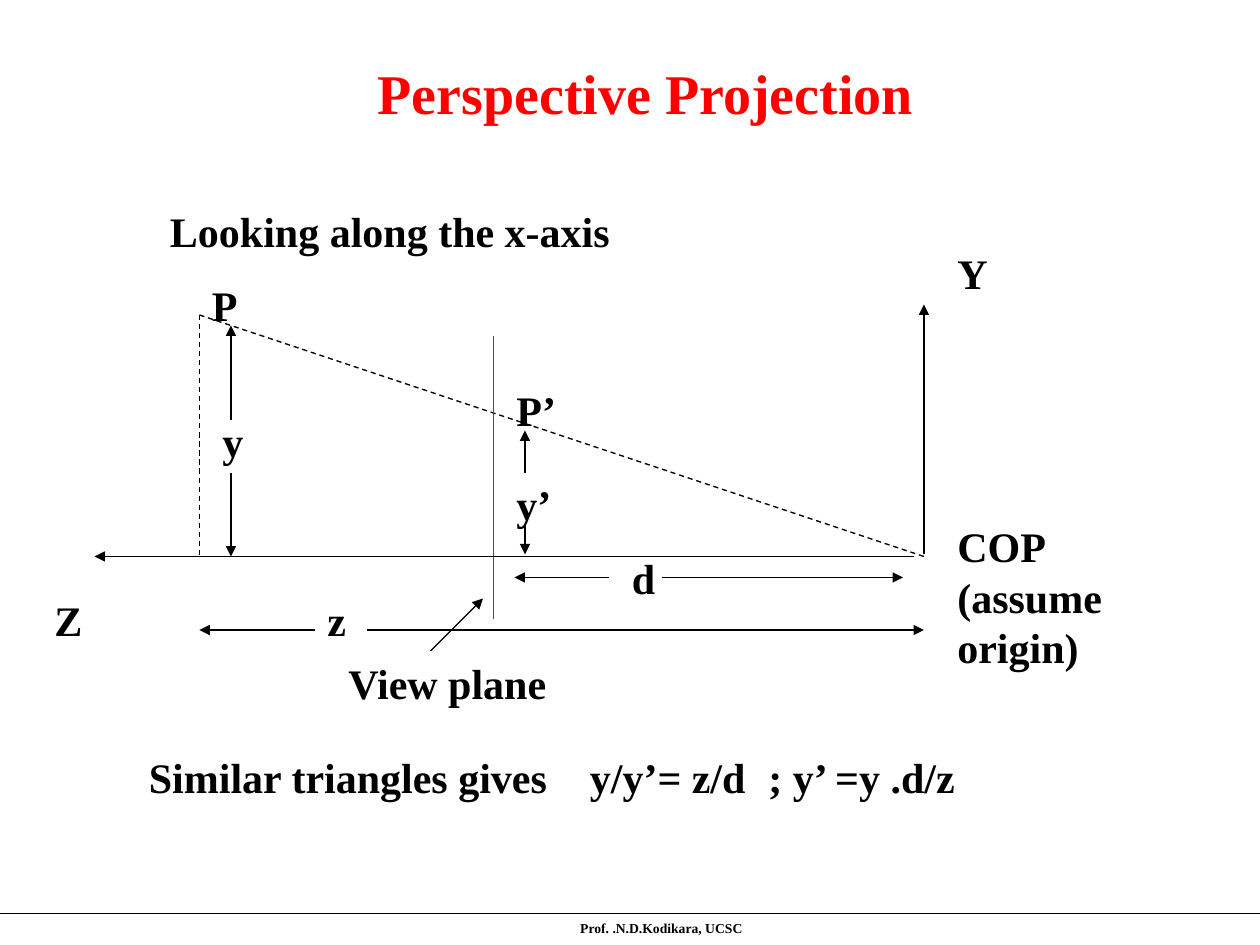
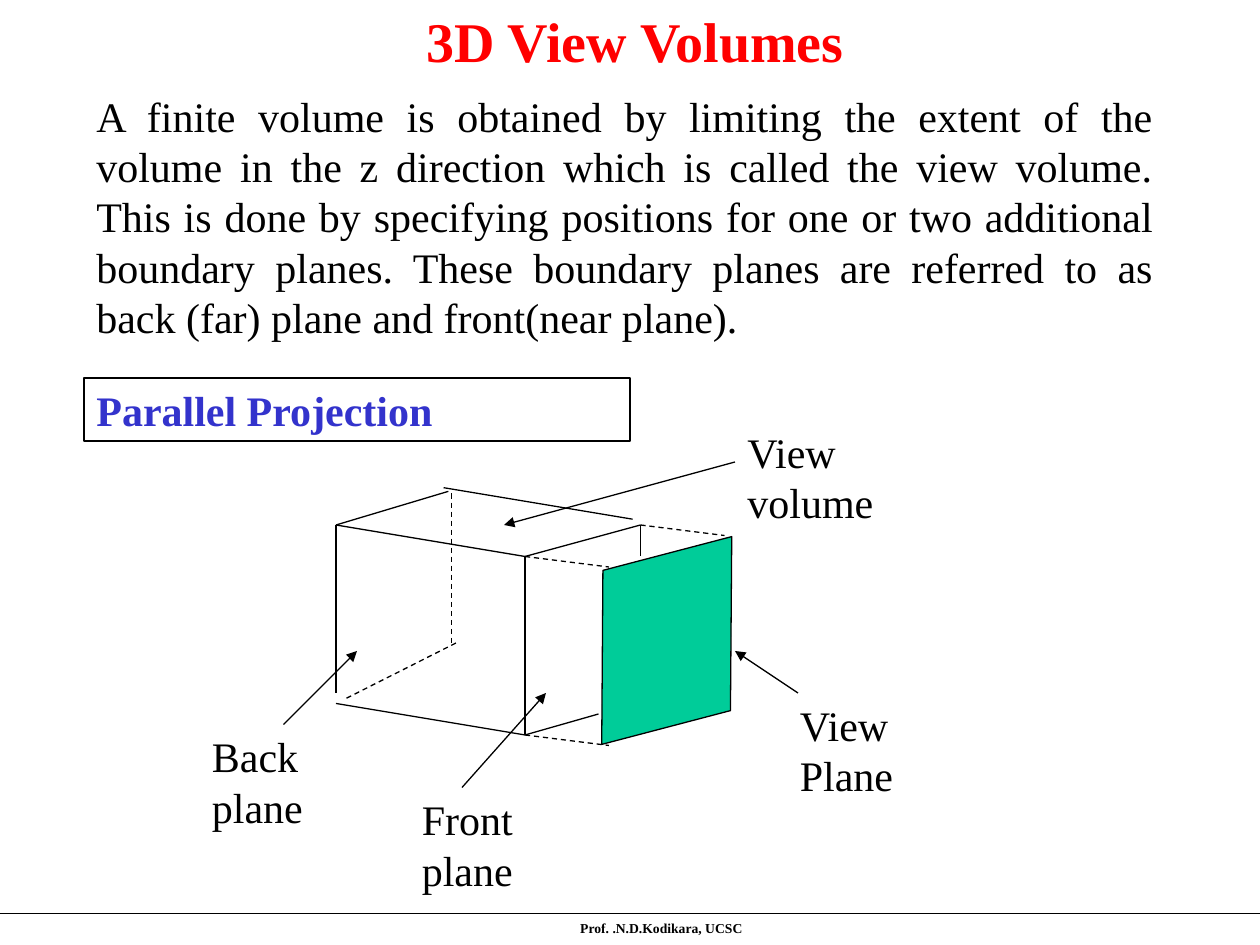
"""Builds two slides on perspective projection and 3D view volumes."""
from dataclasses import dataclass
from typing import NamedTuple, Optional

from lxml import etree
from pptx import Presentation
from pptx.dml.color import RGBColor
from pptx.enum.dml import MSO_LINE
from pptx.enum.shapes import MSO_CONNECTOR, MSO_SHAPE
from pptx.enum.text import MSO_ANCHOR, MSO_AUTO_SIZE, PP_ALIGN
from pptx.oxml.ns import qn
from pptx.util import Cm, Pt

STRAIGHT = MSO_CONNECTOR.STRAIGHT
RECTANGLE = MSO_SHAPE.RECTANGLE
PARALLELOGRAM = MSO_SHAPE.PARALLELOGRAM
DASH = MSO_LINE.DASH
TOP = MSO_ANCHOR.TOP
NO_AUTOFIT = MSO_AUTO_SIZE.NONE
LEFT, CENTER, JUSTIFY = PP_ALIGN.LEFT, PP_ALIGN.CENTER, PP_ALIGN.JUSTIFY
TITLE_ONLY = 5
GRID_CM = 2.54 / 12
SLIDE_COLUMNS, SLIDE_ROWS = 120, 90
FOOTER_ROW = 87


@dataclass(frozen=True)
class Theme:
    """Colours, font and sizes shared by the slides."""
    font: str = "Times New Roman"
    ink: RGBColor = RGBColor(0x00, 0x00, 0x00)
    red: RGBColor = RGBColor(0xFF, 0x00, 0x00)
    blue: RGBColor = RGBColor(0x33, 0x33, 0xCC)
    green: RGBColor = RGBColor(0x00, 0xCC, 0x99)
    title_size: Pt = Pt(32)
    body_size: Pt = Pt(24)
    footer_size: Pt = Pt(7.8)
    line_width: Pt = Pt(0.75)


THEME = Theme()


class Box(NamedTuple):
    """A rectangle in grid units."""
    left: float
    top: float
    width: float
    height: float


class Label(NamedTuple):
    """A text and its box."""
    text: str
    box: Box


class Segment(NamedTuple):
    """A straight line in grid units."""
    start: tuple[float, float]
    end: tuple[float, float]
    dashed: bool = False
    arrow: bool = False
    color: RGBColor = THEME.ink


class TextStyle(NamedTuple):
    """The look of a one-paragraph text."""
    size: Pt = THEME.body_size
    color: RGBColor = THEME.ink
    bold: bool = False
    alignment: PP_ALIGN = LEFT
    tabs: tuple[float, ...] = ()


TITLE = TextStyle(THEME.title_size, THEME.red, True, CENTER)
FOOTER = TextStyle(THEME.footer_size, bold=True, alignment=CENTER)
PLAIN = TextStyle()
BOLD = TextStyle(bold=True)
HEADING = TextStyle(color=THEME.blue, bold=True)
JUSTIFIED = TextStyle(alignment=JUSTIFY)
FORMULA = TextStyle(bold=True, tabs=(42, 59))


def grid(units: float) -> Cm:
    """Converts grid units to a length."""
    return Cm(units * GRID_CM)


def place(shape, box: Box) -> None:
    """Moves and sizes a shape."""
    shape.left, shape.top = grid(box.left), grid(box.top)
    shape.width, shape.height = grid(box.width), grid(box.height)


def write(shape, text: str, style: TextStyle) -> None:
    """Writes one styled paragraph into a shape."""
    frame = shape.text_frame
    frame.word_wrap = True
    frame.auto_size = NO_AUTOFIT
    frame.vertical_anchor = TOP
    paragraph = frame.paragraphs[0]
    paragraph.alignment = style.alignment
    if style.tabs:
        properties = paragraph._p.get_or_add_pPr()
        tab_list = etree.SubElement(properties, qn("a:tabLst"))
        for position in style.tabs:
            etree.SubElement(tab_list, qn("a:tab"), pos=str(grid(position)), algn="l")
    run = paragraph.add_run()
    run.text = text
    font = run.font
    font.name, font.size, font.bold = THEME.font, style.size, style.bold
    font.color.rgb = style.color


def add_label(slide, label: Label, style: TextStyle = PLAIN) -> None:
    """Adds a text box."""
    write(slide.shapes.add_textbox(*map(grid, label.box)), label.text, style)


def add_segment(slide, segment: Segment) -> None:
    """Adds a line, dashed or with an arrowhead if asked."""
    connector = slide.shapes.add_connector(
        STRAIGHT, *map(grid, segment.start + segment.end))
    line = connector.line
    line.color.rgb, line.width = segment.color, THEME.line_width
    if segment.dashed:
        line.dash_style = DASH
    if segment.arrow:
        etree.SubElement(line._get_or_add_ln(), qn("a:tailEnd"), type="triangle")
    etree.SubElement(connector._element.spPr, qn("a:effectLst"))


def add_outlined(slide, kind: MSO_SHAPE, box: Box, fill: Optional[RGBColor] = None):
    """Adds an outlined preset shape."""
    shape = slide.shapes.add_shape(kind, *map(grid, box))
    shape.shadow.inherit = False
    shape.line.color.rgb, shape.line.width = THEME.ink, THEME.line_width
    if fill is None:
        shape.fill.background()
    else:
        shape.fill.solid()
        shape.fill.fore_color.rgb = fill
    return shape


def add_slide(presentation, title: Label):
    """Adds a slide with its title, footer line and footer text."""
    slide = presentation.slides.add_slide(presentation.slide_layouts[TITLE_ONLY])
    place(slide.shapes.title, title.box)
    write(slide.shapes.title, title.text, TITLE)
    add_segment(slide, Segment((0, FOOTER_ROW), (SLIDE_COLUMNS, FOOTER_ROW)))
    add_label(slide, Label("Prof. .N.D.Kodikara, UCSC", Box(9, FOOTER_ROW, 108, 3)), FOOTER)
    return slide


def build_perspective(presentation) -> None:
    """Draws the similar triangles of the perspective projection."""
    slide = add_slide(presentation, Label("Perspective Projection", Box(10, 5, 103, 7.7)))
    point, foot, origin = (19, 30), (19, 53), (88, 53)
    segments = (
        Segment(point, origin, dashed=True),
        Segment(point, foot, dashed=True),
        Segment((47, 32), (47, 59), color=THEME.red),
        Segment((88, 52.8), (88, 29), arrow=True),
        Segment((87, 53), (9, 53), arrow=True),
        Segment((58, 55), (49, 55), arrow=True),
        Segment((63, 55), (86, 55), arrow=True),
        Segment((41, 62), (46, 57), arrow=True),
        Segment((50, 45), (50, 41), arrow=True),
        Segment((50, 50), (50, 52.8), arrow=True),
        Segment((22, 40), (22, 31), arrow=True),
        Segment((22, 45), (22, 53), arrow=True),
        Segment((35, 60), (88, 60), arrow=True),
        Segment((30, 60), (19, 60), arrow=True),
    )
    for segment in segments:
        add_segment(slide, segment)
    symbols = {"Y": (90, 23), "Z": (4, 56), "d": (59, 52), "P": (19, 26),
               "P’": (48, 36), "y’": (48, 45), "y": (20, 39), "z": (30, 56)}
    for symbol, (left, top) in symbols.items():
        add_label(slide, Label(symbol, Box(left, top, 9, 6)), BOLD)
    for label in (
        Label("Looking along the x-axis", Box(15, 19, 80, 6)),
        Label("View plane", Box(32, 62, 25, 6)),
        Label("COP (assume origin)", Box(90, 49, 25, 15.6)),
    ):
        add_label(slide, label, BOLD)
    add_label(slide, Label("Similar triangles gives\ty/y’= z/d\t; y’ =y .d/z",
                           Box(13, 71, 102, 6)), FORMULA)


def build_view_volumes(presentation) -> None:
    """Draws the view volume of the parallel projection."""
    slide = add_slide(presentation, Label("3D View Volumes", Box(15, 0, 91, 7.7)))
    add_label(slide, Label(
        "A finite volume is obtained by limiting the extent of the volume in the z "
        "direction which is called the view volume. This is done by specifying positions "
        "for one or two additional boundary planes. These boundary planes are referred to "
        "as back (far) plane and front(near plane).", Box(8, 8, 103, 25.2)), JUSTIFIED)
    view_plane = add_outlined(slide, PARALLELOGRAM, Box(55, 53, 17, 16), THEME.green)
    view_plane.adjustments[0] = 0.27
    view_plane.rotation = 345.3
    front_top, front_bottom = (50, 53), (50, 70)
    front_far, back_top = (61, 50), (32, 50)
    segments = (
        Segment(front_top, (58, 54), dashed=True),
        Segment(front_far, (69, 51), dashed=True),
        Segment(front_bottom, (58, 71), dashed=True),
        Segment(front_top, front_bottom),
        Segment(front_top, front_far),
        Segment(front_bottom, (32, 67)),
        Segment((60.25, 49.45), (42.25, 46.45)),
        Segment(front_top, back_top),
        Segment(back_top, (32, 66)),
        Segment(back_top, (42.7, 46.8)),
        Segment(front_bottom, (57, 68)),
        Segment(front_far, (61, 53)),
        Segment((43, 47), (43, 61.2), dashed=True),
        Segment((33, 66.5), (43.5, 61.2), dashed=True),
        Segment((76, 66), (70, 62), arrow=True),
        Segment((44, 75), (52, 66), arrow=True),
        Segment((27, 69), (34, 62), arrow=True),
        Segment((70, 44), (48, 50), arrow=True),
    )
    for segment in segments:
        add_segment(slide, segment)
    for label in (
        Label("View Plane", Box(75, 66, 18, 10.8)),
        Label("Front plane", Box(39, 75, 18, 10.8)),
        Label("Back plane", Box(19, 69, 15, 10.8)),
        Label("View volume", Box(70, 40, 22, 10.8)),
    ):
        add_label(slide, label)
    heading = add_outlined(slide, RECTANGLE, Box(8, 36, 52, 6))
    write(heading, "Parallel Projection", HEADING)


def main() -> None:
    """Builds and saves the presentation."""
    presentation = Presentation()
    presentation.slide_width = grid(SLIDE_COLUMNS)
    presentation.slide_height = grid(SLIDE_ROWS)
    build_perspective(presentation)
    build_view_volumes(presentation)
    presentation.save("out.pptx")


if __name__ == "__main__":
    main()
